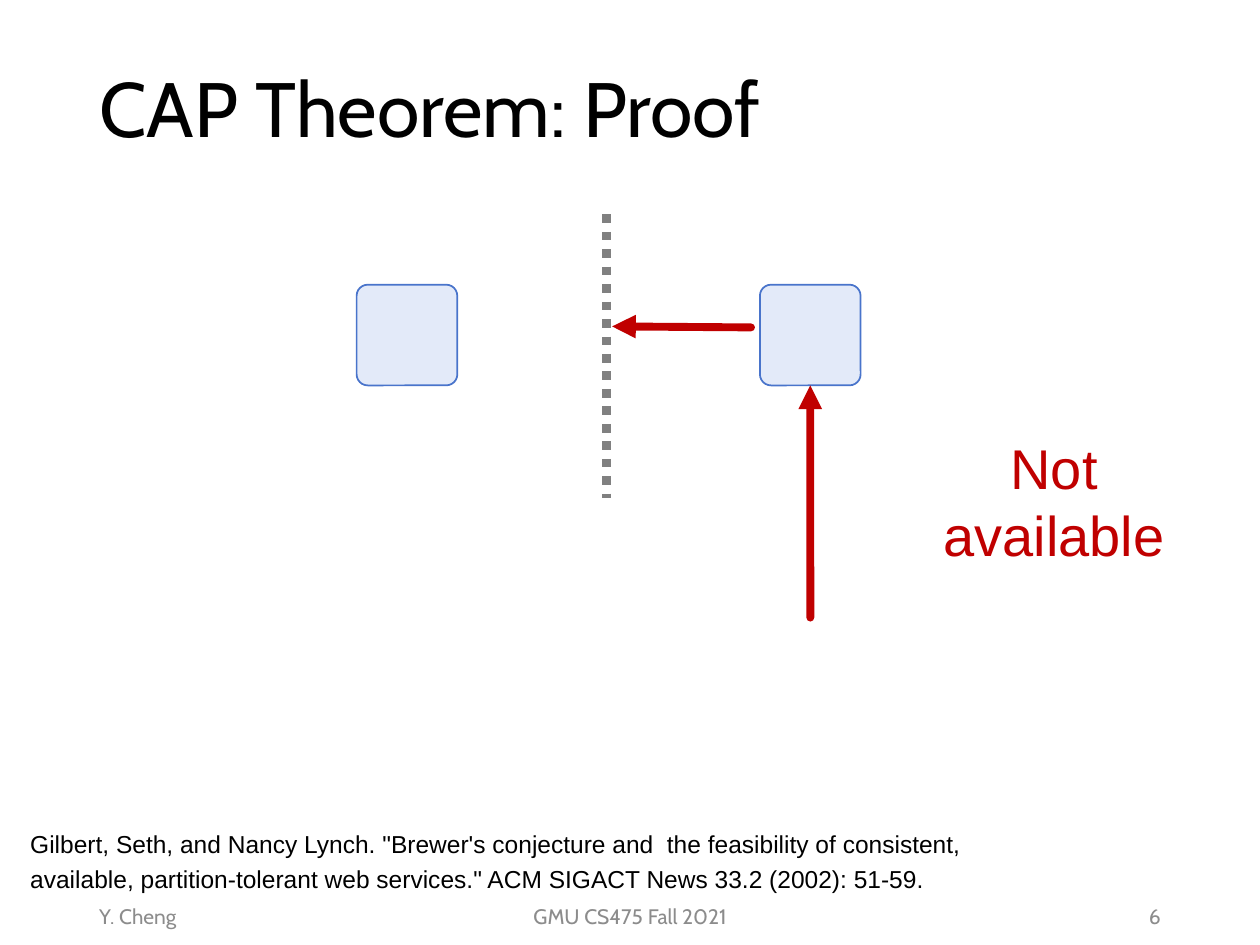
from lxml import etree
from pptx import Presentation
from pptx.dml.color import RGBColor
from pptx.enum.dml import MSO_LINE
from pptx.enum.shapes import MSO_CONNECTOR, MSO_SHAPE
from pptx.enum.text import MSO_ANCHOR, PP_ALIGN
from pptx.oxml.ns import qn
from pptx.util import Cm, Pt

LEFT, CENTER, RIGHT = PP_ALIGN.LEFT, PP_ALIGN.CENTER, PP_ALIGN.RIGHT
TOP, MIDDLE = MSO_ANCHOR.TOP, MSO_ANCHOR.MIDDLE
STRAIGHT = MSO_CONNECTOR.STRAIGHT
ROUNDED = MSO_SHAPE.ROUNDED_RECTANGLE
DOTTED = MSO_LINE.ROUND_DOT  # written as sysDot
BOTTOM_SIDE = 2

BLACK, GREY, RED = "000000", "8C8C8C", "C00000"

# Content: text styles as (font, size, colour), then texts with their places in cm
FORMATS = {
    "title": {"name": "Cabin", "size": Pt(44), "color": BLACK},
    "verdict": {"name": "Arial", "size": Pt(32), "color": RED},
    "citation": {"name": "Arial", "size": Pt(14), "color": BLACK},
    "footer": {"name": "Cabin", "size": Pt(12), "color": GREY},
}
CITATION = (
    "Gilbert, Seth, and Nancy Lynch. \"Brewer's conjecture and  the feasibility "
    "of consistent, available, partition-tolerant web services.\" "
    "ACM SIGACT News 33.2 (2002): 51-59."
)
FOOTER_TOP, FOOTER_HEIGHT = 17.96, 1.02
TEXTS = [
    # style, lines, (left, top, width, height), alignment, anchor, line spacing, wrap
    ("title", ["CAP Theorem: Proof"], (1.75, 0.43, 21.89, 3.68), LEFT, MIDDLE, 0.9, True),
    ("verdict", ["Not", "available"], (18.75, 8.61, 5, 3), CENTER, TOP, 1.0, False),
    ("citation", [CITATION], (0.36, 16.46, 19.91, 2.36), LEFT, TOP, 1.2, True),
] + [
    ("footer", [text], (left, FOOTER_TOP, width, FOOTER_HEIGHT), align, MIDDLE, 1.0, True)
    for text, left, width, align in [
        ("Y. Cheng", 1.75, 5.72, LEFT),
        ("GMU CS475 Fall 2021", 8.41, 8.59, CENTER),
        ("6", 17.93, 5.72, RIGHT),
    ]
]
SERVER_LEFTS, SERVER_TOP, SERVER_SIZE = (7.19, 15.32), 5.74, 2.03


def rgb(value):
    return RGBColor.from_string(value)


def add_text(slide, style, lines, place, align, anchor, spacing, wrap):
    frame = slide.shapes.add_textbox(*map(Cm, place)).text_frame
    frame.word_wrap = wrap
    frame.vertical_anchor = anchor
    frame.text = "\n".join(lines)
    for paragraph in frame.paragraphs:
        paragraph.alignment = align
        paragraph.line_spacing = spacing
        for run in paragraph.runs:
            for key, value in FORMATS[style].items():
                if key == "color":
                    run.font.color.rgb = rgb(value)
                else:
                    setattr(run.font, key, value)


def add_server(slide, left):
    server = slide.shapes.add_shape(
        ROUNDED, Cm(left), Cm(SERVER_TOP), Cm(SERVER_SIZE), Cm(SERVER_SIZE))
    server.adjustments[0] = 0.11
    server.shadow.inherit = False
    server.fill.solid()
    server.fill.fore_color.rgb = rgb("E3EAF9")
    server.line.color.rgb = rgb("4974CB")
    server.line.width = Pt(1)
    return server


def add_line(slide, start, end, color, width):
    line = slide.shapes.add_connector(STRAIGHT, *map(Cm, start + end))
    line.line.color.rgb = rgb(color)
    line.line.width = Pt(width)
    etree.SubElement(line._element.spPr, qn("a:effectLst"))
    return line


def add_arrow(slide, start, end):
    arrow = add_line(slide, start, end, RED, 4.5)
    outline = arrow.line._get_or_add_ln()
    outline.set("cap", "rnd")
    etree.SubElement(outline, qn("a:tailEnd"), type="triangle")
    return arrow


def main():
    deck = Presentation()
    deck.slide_width, deck.slide_height = Cm(25.4), Cm(19.05)
    slide = deck.slides.add_slide(deck.slide_layouts[6])

    # Two servers
    servers = [add_server(slide, left) for left in SERVER_LEFTS]

    # Request coming up into the right server
    request_x = SERVER_LEFTS[1] + SERVER_SIZE / 2
    request = add_arrow(slide, (request_x, 12.45), (request_x, SERVER_TOP + SERVER_SIZE))
    request.end_connect(servers[1], BOTTOM_SIDE)

    # Network partition and the message it stops
    partition = add_line(slide, (12.22, 4.32), (12.22, 10.03), "808080", 5)
    partition.line.dash_style = DOTTED
    add_arrow(slide, (15.14, 6.6), (12.34, 6.58))

    # Title, verdict, citation and footer
    for text in TEXTS:
        add_text(slide, *text)

    deck.save("out.pptx")


if __name__ == "__main__":
    main()
